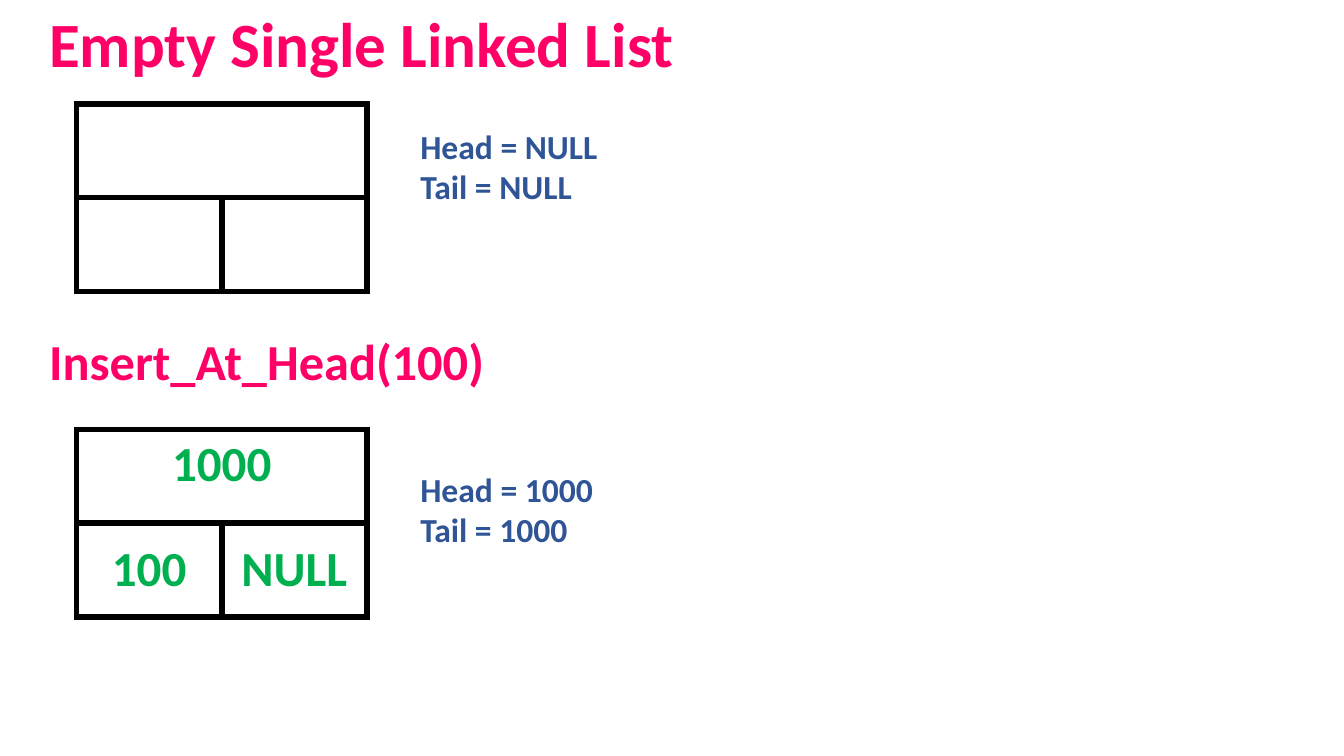
from lxml.etree import SubElement
from pptx import Presentation
from pptx.dml.color import RGBColor
from pptx.enum.text import MSO_ANCHOR, MSO_AUTO_SIZE, PP_ALIGN
from pptx.oxml.ns import qn
from pptx.util import Inches, Pt

PINK = RGBColor(0xFF, 0x00, 0x66)
BLUE = RGBColor(0x2F, 0x55, 0x97)
GREEN = RGBColor(0x00, 0xB0, 0x50)
WHITE = RGBColor(0xFF, 0xFF, 0xFF)
BLACK = RGBColor(0x00, 0x00, 0x00)

BORDER_WIDTH = Pt(4.5)
CELL_WIDTH = 1.44
CELL_HEIGHT = 0.93
HEADING_LEFT = 0.39
NODE_LEFT = 0.76
POINTERS_LEFT = 4.07


def write_span(para, text, size, color):
    span = para.add_run()
    span.text = text
    formats = {"name": "Calibri", "size": Pt(size), "bold": True}
    for name, value in formats.items():
        setattr(span.font, name, value)
    span.font.color.rgb = color


def add_text(page, lines, left, top, width, height, size, color):
    box = page.shapes.add_textbox(
        Inches(left), Inches(top), Inches(width), Inches(height))
    frame = box.text_frame
    formats = {"word_wrap": True, "auto_size": MSO_AUTO_SIZE.SHAPE_TO_FIT_TEXT}
    for name, value in formats.items():
        setattr(frame, name, value)
    for index, line in enumerate(lines):
        para = frame.add_paragraph() if index else frame.paragraphs[0]
        write_span(para, line, size, color)


def add_heading(page, text, top, width, height, size):
    add_text(page, [text], HEADING_LEFT, top, width, height, size, PINK)


def add_pointers(page, address, top):
    lines = [f"{name} = {address}" for name in ("Head", "Tail")]
    add_text(page, lines, POINTERS_LEFT, top, 2.3, 0.91, 24, BLUE)


def outline_cell(cell):
    properties = cell._tc.get_or_add_tcPr()
    # Border lines must come before the fill
    for index, side in enumerate(("a:lnL", "a:lnR", "a:lnT", "a:lnB")):
        line = SubElement(properties, qn(side), w=str(BORDER_WIDTH))
        fill = SubElement(line, qn("a:solidFill"))
        SubElement(fill, qn("a:srgbClr"), val=str(BLACK))
        properties.insert(index, line)


def add_node(page, top, address="", value="", following=""):
    frame = page.shapes.add_table(
        2, 2, Inches(NODE_LEFT), Inches(top),
        Inches(2 * CELL_WIDTH), Inches(2 * CELL_HEIGHT))
    table = frame.table
    for name in ("first_row", "horz_banding"):
        setattr(table, name, False)
    for column in table.columns:
        column.width = Inches(CELL_WIDTH)
    for row in table.rows:
        row.height = Inches(CELL_HEIGHT)

    # The address spans the top row, above the value and the next pointer
    table.cell(0, 0).merge(table.cell(0, 1))
    for cell, text in zip(table.iter_cells(), (address, "", value, following)):
        cell.fill.solid()
        cell.fill.fore_color.rgb = WHITE
        outline_cell(cell)
        if text:
            para = cell.text_frame.paragraphs[0]
            para.alignment = PP_ALIGN.CENTER
            write_span(para, text, 35, GREEN)
    for column in range(2):
        table.cell(1, column).vertical_anchor = MSO_ANCHOR.MIDDLE


def main():
    deck = Presentation()
    deck.slide_width = Inches(13.33)
    deck.slide_height = Inches(7.5)
    page = deck.slides.add_slide(deck.slide_layouts[6])

    # Empty list
    add_node(page, 1.03)
    add_heading(page, "Empty Single Linked List", 0, 6.67, 0.86, 45)
    add_pointers(page, "NULL", 1.2)

    # List after the first insertion
    add_heading(page, "Insert_At_Head(100)", 3.23, 8.96, 0.71, 36)
    add_node(page, 4.26, "1000", "100", "NULL")
    add_pointers(page, "1000", 4.6)

    deck.save("out.pptx")


if __name__ == "__main__":
    main()
